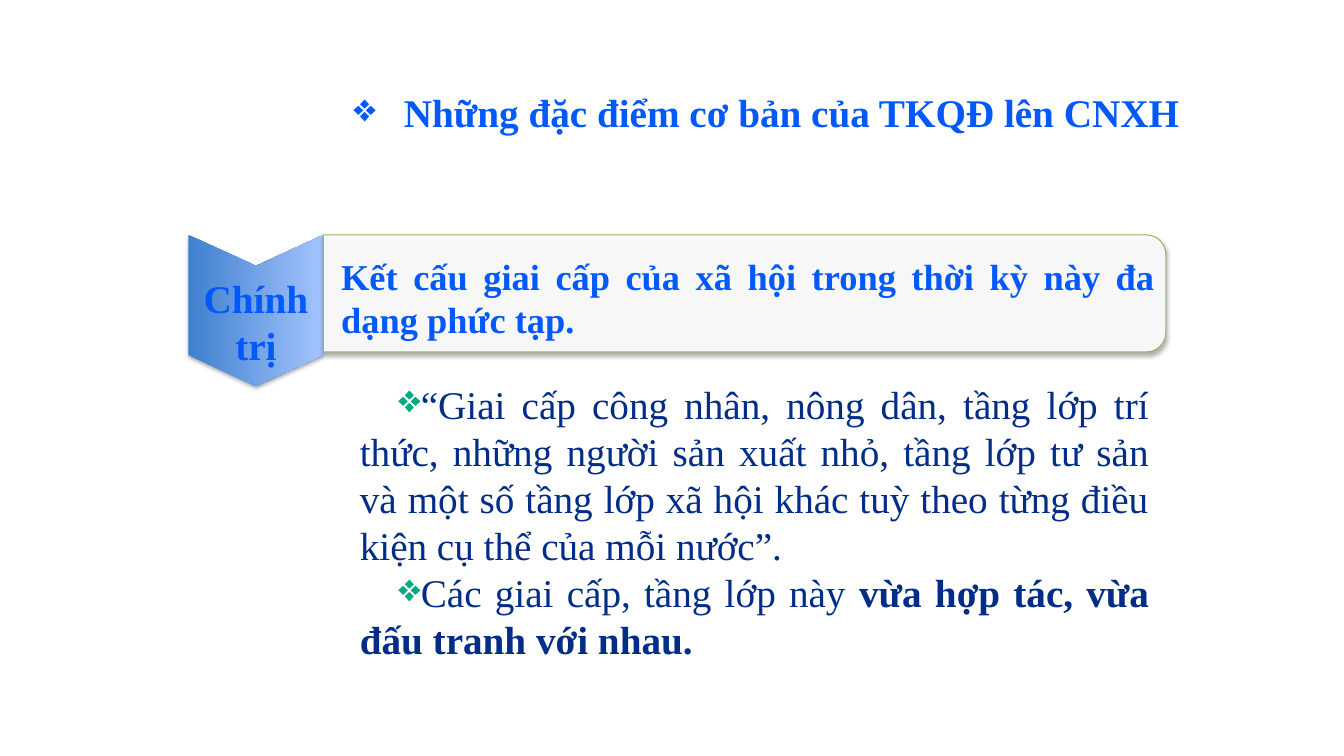
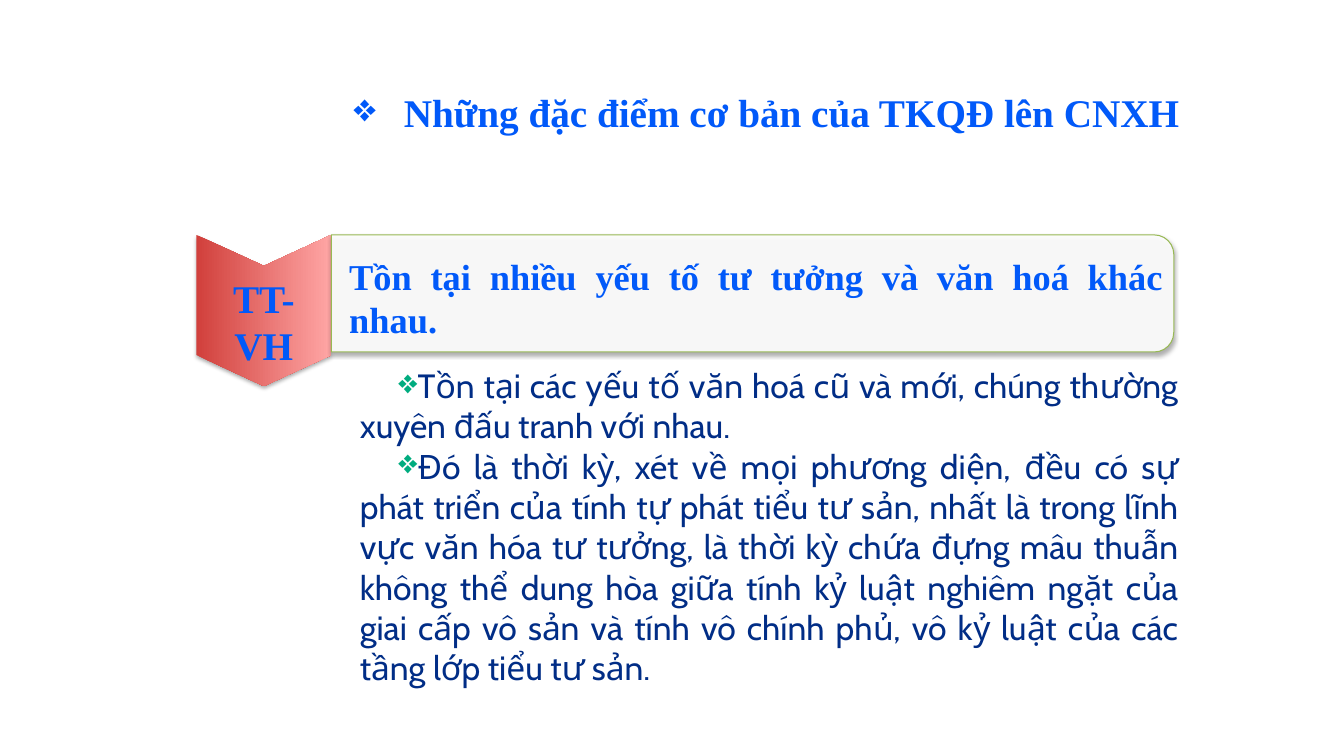
from lxml.etree import SubElement
from pptx import Presentation
from pptx.dml.color import RGBColor
from pptx.enum.shapes import MSO_SHAPE
from pptx.enum.text import PP_ALIGN
from pptx.oxml.ns import qn
from pptx.util import Cm, Pt

COLORS = {
    "heading": "0159F9",
    "body": "012D86",
    "bullet": "00AC7F",
    "card": "FFFFFF",
    "card_line": "98B955",
    "blue_dark": "3F80CE",
    "blue_light": "A4C4FF",
    "red_dark": "D1403C",
    "red_light": "FFA6A5",
    "shadow": "000000",
}
SERIF = "Times New Roman"
TITLE = "Những đặc điểm cơ bản của TKQĐ lên CNXH"
BANNER_TOP = 5.92
CHEVRON_WIDTH, CHEVRON_HEIGHT = 3.4, 3.81
CARD_WIDTH, CARD_HEIGHT = 21.23, 2.95


def rgb(name):
    return RGBColor.from_string(COLORS[name])


class Deck:
    """Holds the presentation, its style and the current slide."""

    def __init__(self):
        self.presentation = Presentation()
        self.presentation.slide_width = Cm(33.87)
        self.presentation.slide_height = Cm(19.05)
        self.slide = None

    def new_slide(self):
        layout = self.presentation.slide_layouts[6]
        self.slide = self.presentation.slides.add_slide(layout)

    def text(self, left, top, width, height, paragraphs, size, color="heading",
             font=SERIF, bold=True, align=PP_ALIGN.LEFT, bullet=None, wrap=True):
        """Add a text box; a paragraph is a list of (text, bold) runs or a string.

        bullet is (left margin, first-line indent, colour).
        """
        box = self.slide.shapes.add_textbox(Cm(left), Cm(top), Cm(width), Cm(height))
        frame = box.text_frame
        frame.word_wrap = wrap
        for index, content in enumerate(paragraphs):
            paragraph = frame.add_paragraph() if index else frame.paragraphs[0]
            if bullet:
                self.bullet(paragraph, *bullet)
            paragraph.alignment = align
            paragraph.font.name = font
            paragraph.font.size = Pt(size)
            paragraph.font.color.rgb = rgb(color)
            if isinstance(content, str):
                paragraph.font.bold = bold
                paragraph.add_run().text = content
                continue
            for words, run_bold in content:
                run = paragraph.add_run()
                run.text = words
                run.font.bold = run_bold
        return box

    def bullet(self, paragraph, margin, indent, color):
        properties = paragraph._p.get_or_add_pPr()
        properties.set("marL", str(Cm(margin)))
        properties.set("indent", str(Cm(indent)))
        bullet_color = SubElement(properties, qn("a:buClr"))
        SubElement(bullet_color, qn("a:srgbClr"), val=COLORS[color])
        SubElement(properties, qn("a:buChar"), char="❖")

    def turned_shape(self, kind, left, top, width, height):
        """Add a shape turned by 90 degrees that covers the given area."""
        shift = (width - height) / 2
        shape = self.slide.shapes.add_shape(
            kind, Cm(left + shift), Cm(top - shift), Cm(height), Cm(width))
        shape.rotation = 90
        self.soft_shadow(shape)
        return shape

    def soft_shadow(self, shape):
        shape.shadow.inherit = False
        effects = shape._element.spPr.find(qn("a:effectLst"))
        shadow = SubElement(effects, qn("a:outerShdw"), blurRad=str(Pt(3.1)),
                            dist=str(Pt(1.8)), dir="5400000", rotWithShape="0")
        color = SubElement(shadow, qn("a:srgbClr"), val=COLORS["shadow"])
        SubElement(color, qn("a:alpha"), val="35000")

    def title(self):
        self.text(8.66, 2.11, 23.7, 1.45, [TITLE], 28,
                  bullet=(1.27, -1.27, "heading"))

    def chevron(self, left, hue, label_lines):
        shape = self.turned_shape(MSO_SHAPE.CHEVRON, left, BANNER_TOP,
                                  CHEVRON_WIDTH, CHEVRON_HEIGHT)
        shape.adjustments[0] = 0.23
        shape.fill.gradient()
        shape.fill.gradient_angle = 90
        for stop, position, shade in zip(shape.fill.gradient_stops, (0, 1),
                                         ("dark", "light")):
            stop.position = position
            stop.color.rgb = rgb(f"{hue}_{shade}")
        shape.line.fill.background()
        self.text(left, 6.78, CHEVRON_WIDTH, 0.25 + 1.19 * len(label_lines),
                  label_lines, 28, align=PP_ALIGN.CENTER, wrap=False)

    def card(self, left, statement):
        shape = self.turned_shape(MSO_SHAPE.ROUND_2_SAME_RECTANGLE, left, BANNER_TOP,
                                  CARD_WIDTH, CARD_HEIGHT)
        shape.fill.solid()
        shape.fill.fore_color.rgb = rgb("card")
        color = shape._element.spPr.find(qn("a:solidFill")).find(qn("a:srgbClr"))
        SubElement(color, qn("a:alpha"), val="90000")
        shape.line.color.rgb = rgb("card_line")
        shape.line.width = Pt(0.75)
        self.text(left + 0.2, 6.27, CARD_WIDTH - 0.2, 2.49, [statement], 26,
                  align=PP_ALIGN.JUSTIFY)

    def banner(self, left, hue, label_lines, statement):
        self.chevron(left, hue, label_lines)
        self.card(left + CHEVRON_WIDTH, statement)

    def body(self, top, width, height, paragraphs, size, font):
        box = self.text(8.23, top, width, height, paragraphs, size, "body", font,
                        bold=False, align=PP_ALIGN.JUSTIFY, bullet=(0, 0.97, "bullet"))
        box.text_frame.margin_left = Cm(0.84)


def main():
    deck = Deck()

    deck.new_slide()
    deck.body(9.45, 20.98, 7.44, [
        "“Giai cấp công nhân, nông dân, tầng lớp trí thức, những người sản xuất nhỏ, "
        "tầng lớp tư sản và một số tầng lớp xã hội khác tuỳ theo từng điều kiện cụ thể "
        "của mỗi nước”.",
        [("Các giai cấp, tầng lớp này", False),
         (" vừa hợp tác, vừa đấu tranh với nhau.", True)],
    ], 28, SERIF)
    deck.banner(4.75, "blue", ["Chính", "trị"],
                "Kết cấu giai cấp của xã hội trong thời kỳ này đa dạng phức tạp.")
    deck.title()

    deck.new_slide()
    deck.body(9.07, 21.72, 8.46, [
        "Tồn tại các yếu tố văn hoá cũ và mới, chúng thường xuyên đấu tranh với nhau.",
        "Đó là thời kỳ, xét về mọi phương diện, đều có sự phát triển của tính tự phát "
        "tiểu tư sản, nhất là trong lĩnh vực văn hóa tư tưởng, là thời kỳ chứa đựng mâu "
        "thuẫn không thể dung hòa giữa tính kỷ luật nghiêm ngặt của giai cấp vô sản và "
        "tính vô chính phủ, vô kỷ luật của các tầng lớp tiểu tư sản.",
    ], 24, "Cabin")
    deck.banner(4.95, "red", ["TT-VH"],
                "Tồn tại nhiều yếu tố tư tưởng và văn hoá khác nhau.")
    deck.title()

    deck.presentation.save("out.pptx")


if __name__ == "__main__":
    main()
